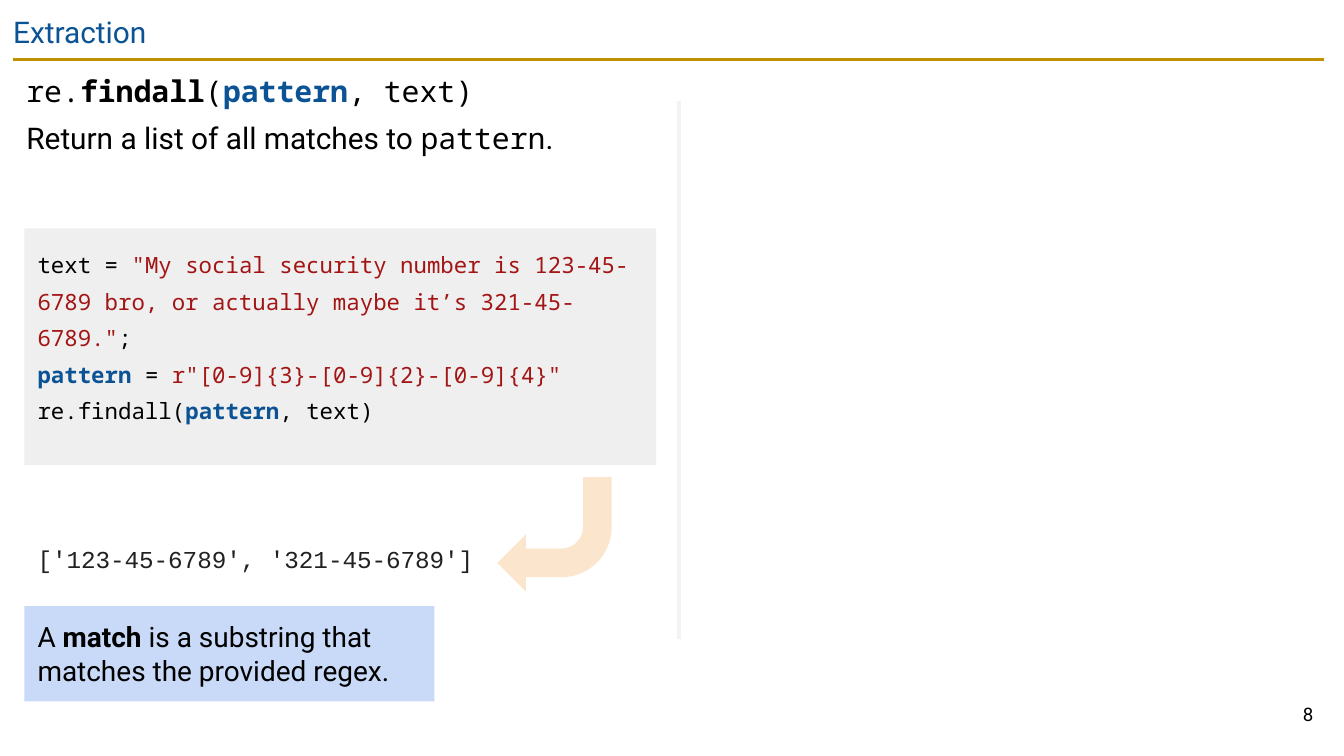
from dataclasses import dataclass
from typing import Optional

from lxml.etree import SubElement
from pptx import Presentation
from pptx.dml.color import RGBColor
from pptx.enum.shapes import MSO_CONNECTOR, MSO_SHAPE
from pptx.enum.text import MSO_ANCHOR as Anchor, PP_ALIGN as Align
from pptx.oxml.ns import qn
from pptx.util import Cm, Pt

BLACK = RGBColor(0x00, 0x00, 0x00)
BLUE = RGBColor(0x0B, 0x53, 0x94)
RED = RGBColor(0xA3, 0x15, 0x15)
CHARCOAL = RGBColor(0x21, 0x21, 0x21)
GOLD = RGBColor(0xBF, 0x90, 0x00)
PALE_GRAY = RGBColor(0xF3, 0xF3, 0xF3)
CODE_GRAY = RGBColor(0xEF, 0xEF, 0xEF)
PEACH = RGBColor(0xFC, 0xE5, 0xCD)
PALE_BLUE = RGBColor(0xC9, 0xDA, 0xF8)

SANS = "Roboto"
MONO = "Noto Sans Mono"
COURIER = "Courier New"
INSET = Cm(0.25)


@dataclass(frozen=True)
class Span:
    text: str
    color: Optional[RGBColor] = None
    bold: Optional[bool] = None
    font: Optional[str] = None


@dataclass(frozen=True)
class Line:
    spans: tuple[Span, ...]
    size: float
    font: str = SANS
    color: RGBColor = BLACK
    align: Align = Align.LEFT
    before: float = 0
    spacing: float = 1.0


@dataclass(frozen=True)
class Block:
    left: float
    top: float
    width: float
    height: float
    lines: tuple[Line, ...]
    fill: Optional[RGBColor] = None
    anchor: Anchor = Anchor.TOP


@dataclass(frozen=True)
class Rule:
    start: tuple[float, float]
    end: tuple[float, float]
    color: RGBColor
    weight: float


def code(*spans: Span) -> Line:
    return Line(spans, 12, MONO, spacing=1.36)


PATTERN = Span("pattern", BLUE, True)

RULES = (
    Rule((0.25, 1.12), (25.02, 1.12), GOLD, 1.5),
    Rule((12.83, 1.9), (12.83, 12.07), PALE_GRAY, 2.25),
)

BLOCKS = (
    Block(0, 0, 23.67, 1.09, (Line((Span("Extraction"),), 16, color=BLUE),)),
    Block(0.25, 1.12, 12.14, 3.2, (
        Line((Span("re."), Span("findall", bold=True), Span("("), PATTERN,
              Span(", text)")), 16, MONO, before=6),
        Line((Span("Return a list of all matches to "),
              Span("pattern", font=MONO), Span(".")), 16, before=6),
    )),
    Block(23.55, 12.95, 1.52, 1.09,
          (Line((Span("8"),), 10, align=Align.RIGHT),), anchor=Anchor.MIDDLE),
    Block(0.46, 4.32, 11.94, 4.47, (
        code(Span("text = "),
             Span('"My social security number is 123-45-6789 bro, '
                  'or actually maybe it’s 321-45-6789."', RED),
             Span(";")),
        code(PATTERN, Span(" = "), Span('r"[0-9]{3}-[0-9]{2}-[0-9]{4}"', RED)),
        code(Span("re.findall("), PATTERN, Span(", text)")),
    ), CODE_GRAY),
    Block(0.46, 10.03, 9.14, 1.07, (
        Line((Span("['123-45-6789', '321-45-6789']"),), 13, COURIER, CHARCOAL),
    )),
    Block(0.46, 11.46, 7.75, 1.8, (
        Line((Span("A "), Span("match", bold=True),
              Span(" is a substring that matches the provided regex.")), 15),
    ), PALE_BLUE),
)


def write_line(paragraph, line: Line) -> None:
    paragraph.alignment = line.align
    paragraph.space_before = Pt(line.before)
    paragraph.line_spacing = line.spacing
    paragraph.font.size = Pt(line.size)
    paragraph.font.name = line.font
    paragraph.font.color.rgb = line.color
    for span in line.spans:
        run = paragraph.add_run()
        run.text = span.text
        run.font.bold = span.bold
        run.font.name = span.font or line.font
        run.font.color.rgb = span.color or line.color


def draw_block(slide, block: Block) -> None:
    bounds = [Cm(n) for n in (block.left, block.top, block.width, block.height)]
    if block.fill is None:
        holder = slide.shapes.add_textbox(*bounds)
    else:
        holder = draw_shape(slide, MSO_SHAPE.RECTANGLE, bounds, block.fill)
    frame = holder.text_frame
    frame.word_wrap = True
    frame.vertical_anchor = block.anchor
    frame.margin_left = frame.margin_right = INSET
    frame.margin_top = frame.margin_bottom = INSET
    for index, line in enumerate(block.lines):
        paragraph = frame.add_paragraph() if index else frame.paragraphs[0]
        write_line(paragraph, line)


def draw_shape(slide, kind: MSO_SHAPE, bounds: list[Cm], fill: RGBColor):
    shape = slide.shapes.add_shape(kind, *bounds)
    shape.shadow.inherit = False
    shape.fill.solid()
    shape.fill.fore_color.rgb = fill
    shape.line.fill.background()
    return shape


def draw_rule(slide, rule: Rule) -> None:
    ends = [Cm(n) for n in rule.start + rule.end]
    connector = slide.shapes.add_connector(MSO_CONNECTOR.STRAIGHT, *ends)
    connector.line.color.rgb = rule.color
    connector.line.width = Pt(rule.weight)
    SubElement(connector._element.spPr, qn("a:effectLst"))


def draw_result_arrow(slide) -> None:
    bounds = [Cm(n) for n in (9.4, 9.02, 2.16, 2.16)]
    arrow = draw_shape(slide, MSO_SHAPE.BENT_ARROW, bounds, PEACH)
    arrow.rotation = 180
    for index, value in enumerate((0.25, 0.25, 0.25, 0.44)):
        arrow.adjustments[index] = value


def main() -> None:
    deck = Presentation()
    deck.slide_width, deck.slide_height = Cm(25.4), Cm(14.29)
    slide = deck.slides.add_slide(deck.slide_layouts[6])
    for rule in RULES:
        draw_rule(slide, rule)
    for block in BLOCKS:
        draw_block(slide, block)
    draw_result_arrow(slide)
    deck.save("out.pptx")


if __name__ == "__main__":
    main()
